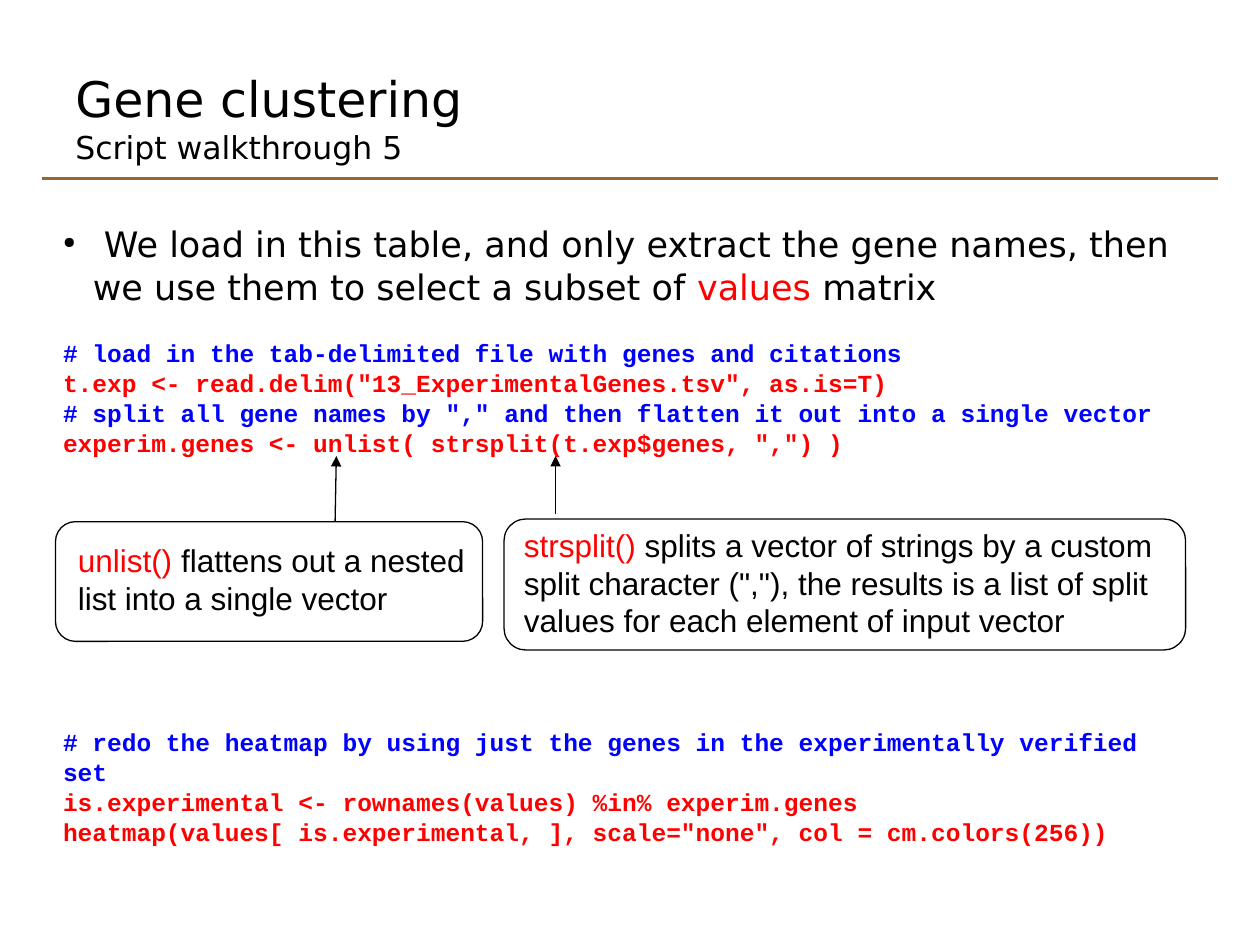
from lxml.etree import SubElement
from pptx import Presentation
from pptx.dml.color import RGBColor
from pptx.enum.shapes import MSO_CONNECTOR as Connector, MSO_SHAPE as Shape
from pptx.enum.text import MSO_ANCHOR as Anchor
from pptx.oxml.ns import qn
from pptx.util import Pt

BLACK, RED, BLUE, BROWN = "000000", "FF0000", "0000FF", "996633"


def color(value):
    return RGBColor.from_string(value)


def add_text(frame, lines, font, size, bold=None, spacing=None):
    """Fill the frame; each line is a list of (text, colour) spans."""
    for number, line in enumerate(lines):
        para = frame.add_paragraph() if number else frame.paragraphs[0]
        para.font.name, para.font.size, para.font.bold = font, Pt(size), bold
        para.line_spacing = spacing
        for text, span_color in line:
            span = para.add_run()
            span.text = text
            span.font.color.rgb = color(span_color)
            span.font.name, span.font.size, span.font.bold = font, Pt(size), bold


deck = Presentation()
deck.slide_width, deck.slide_height = Pt(720), Pt(540)
slide = deck.slides.add_slide(deck.slide_layouts[6])
shapes = slide.shapes

# Title
box = shapes.add_textbox(Pt(36), Pt(21.6), Pt(647.3), Pt(90))
box.text_frame.word_wrap = True
box.text_frame.vertical_anchor = Anchor.MIDDLE
para = box.text_frame.paragraphs[0]
para.line_spacing = 1.02
para.font.name = "DejaVu Sans"
para.font.color.rgb = color(BLACK)
for text, size in (("Gene clustering", 28), ("Script walkthrough 5", 18)):
    if para.runs:
        para.add_line_break()
    span = para.add_run()
    span.text = text
    span.font.name, span.font.size = "DejaVu Sans", Pt(size)
    span.font.color.rgb = color(BLACK)

# Body: one bullet, then two blocks of code
box = shapes.add_textbox(Pt(36), Pt(126.7), Pt(647.3), Pt(355.7))
body = box.text_frame
body.word_wrap = True
body.margin_left = body.margin_right = body.margin_top = body.margin_bottom = 0
add_text(body, [[
    (" We load in this table, and only extract the gene names, then we use them "
     "to select a subset of ", BLACK),
    ("values ", RED),
    ("matrix", BLACK),
]], "DejaVu Sans", 20, spacing=1.02)
bullet = body.paragraphs[0]
bullet.space_before = Pt(4)
properties = bullet._p.get_or_add_pPr()
properties.set("marL", str(Pt(17)))
properties.set("indent", str(-Pt(17)))
bullet_color = SubElement(properties, qn("a:buClr"))
SubElement(bullet_color, qn("a:srgbClr"), val=BLACK)
SubElement(properties, qn("a:buSzPct"), val="45000")
SubElement(properties, qn("a:buChar"), char="●")
# buClr and its siblings must precede the paragraph's default run properties
defaults = properties.find(qn("a:defRPr"))
if defaults is not None:
    properties.append(defaults)

code_blocks = [
    (17, [
        "# load in the tab-delimited file with genes and citations",
        't.exp <- read.delim("13_ExperimentalGenes.tsv", as.is=T)',
        '# split all gene names by "," and then flatten it out into a single vector',
        'experim.genes <- unlist( strsplit(t.exp$genes, ",") )',
    ]),
    (154.3, [
        "# redo the heatmap by using just the genes in the experimentally verified set",
        "is.experimental <- rownames(values) %in% experim.genes",
        'heatmap(values[ is.experimental, ], scale="none", col = cm.colors(256))',
    ]),
]
for gap, code_lines in code_blocks:
    for number, code in enumerate(code_lines):
        para = body.add_paragraph()
        para.line_spacing = 1.02
        para.space_before = Pt(0 if number else gap)
        para.font.name, para.font.size, para.font.bold = "Courier New", Pt(14), True
        span = para.add_run()
        span.text = code
        span.font.name, span.font.size, span.font.bold = "Courier New", Pt(14), True
        span.font.color.rgb = color(BLUE if code.startswith("#") else RED)

# Callouts: outline bounds, text bounds, lines
callouts = [
    ((288, 296.6, 389.5, 74.9), (292.3, 296.9, 378, 72), [
        [("strsplit() ", RED), ("splits a vector of strings by a custom", BLACK)],
        [('split character (","), the results is a list of split', BLACK)],
        [("values for each element of input vector", BLACK)],
    ]),
    ((31.7, 298.1, 244.1, 68.4), (37.4, 305.6, 238, 50.4), [
        [("unlist() ", RED), ("flattens out a nested", BLACK)],
        [("list into a single vector", BLACK)],
    ]),
]
for outline_bounds, text_bounds, lines in callouts:
    outline = shapes.add_shape(Shape.ROUNDED_RECTANGLE, *map(Pt, outline_bounds))
    outline.shadow.inherit = False
    outline.fill.background()
    outline.line.color.rgb = color(BLACK)
    outline.line.width = Pt(0.75)
    box = shapes.add_textbox(*map(Pt, text_bounds))
    # The box is wide enough for its longest line
    box.text_frame.word_wrap = True
    add_text(box.text_frame, lines, "Arial", 18)

# Title rule and callout arrows: ends, colour, width, arrowhead
for ends, line_color, width, arrow in (
    ((23.8, 102.2, 696.2, 102.2), BROWN, 1.75, False),
    ((317.5, 293.8, 317.5, 260.6), BLACK, 0.75, True),
    ((191.5, 298.1, 192.2, 260.6), BLACK, 0.75, True),
):
    line = shapes.add_connector(Connector.STRAIGHT, *map(Pt, ends))
    line.line.color.rgb = color(line_color)
    line.line.width = Pt(width)
    if arrow:
        SubElement(line.line._get_or_add_ln(), qn("a:tailEnd"), type="triangle")
    SubElement(line._element.spPr, qn("a:effectLst"))

deck.save("out.pptx")
